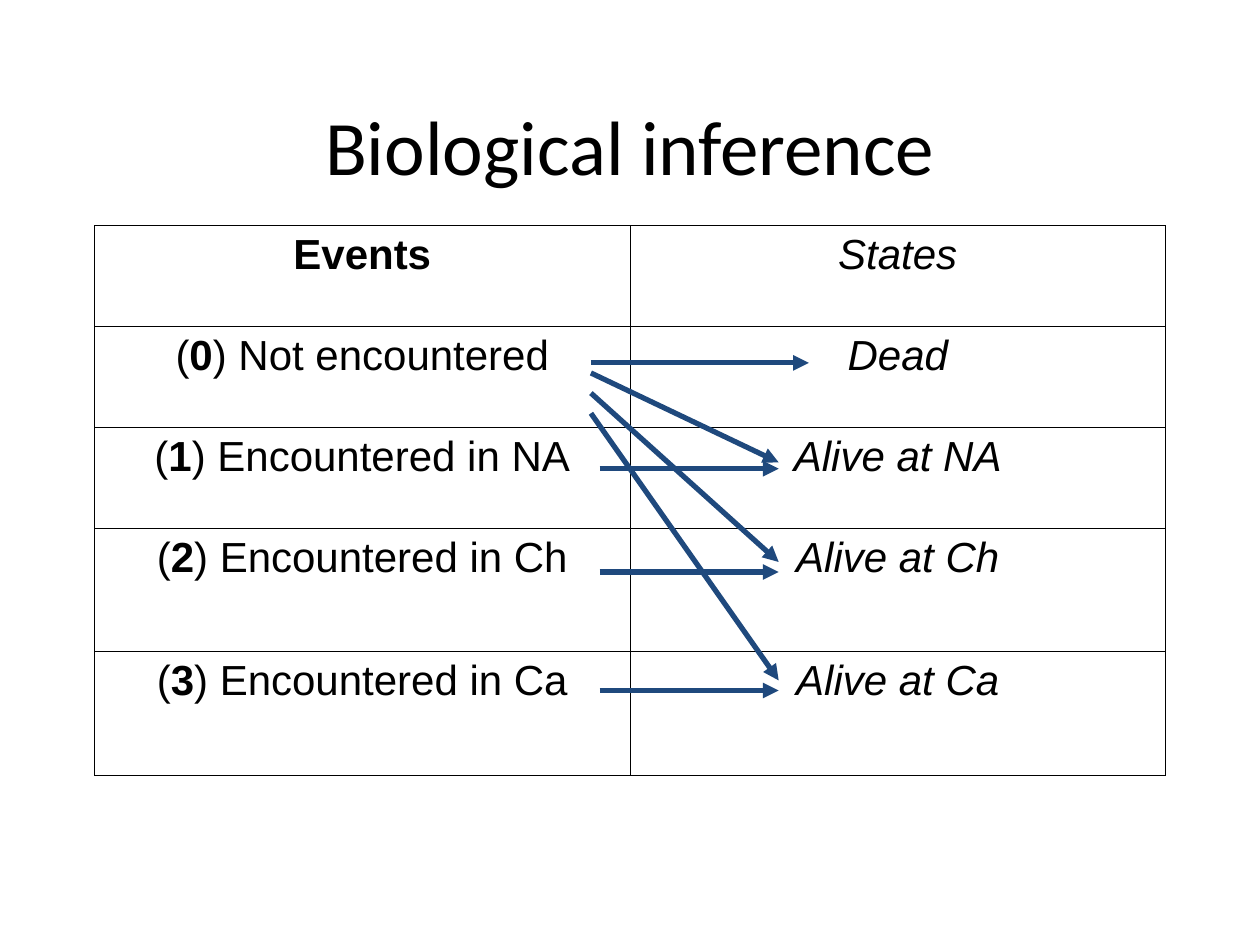
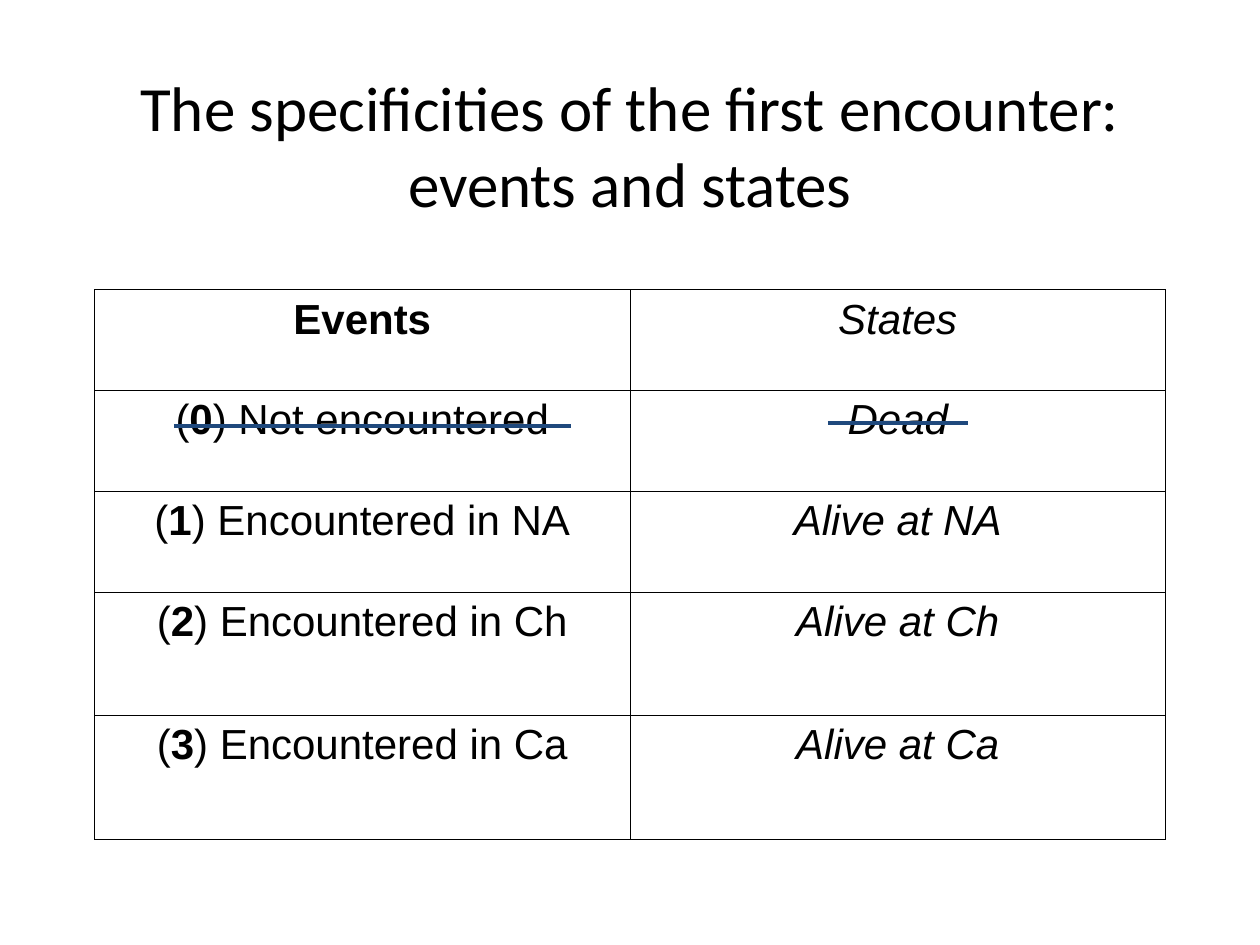
from lxml import etree
from pptx import Presentation
from pptx.dml.color import RGBColor
from pptx.enum import shapes, text
from pptx.oxml import ns
from pptx.util import Inches, Pt

BLACK = RGBColor(0x00, 0x00, 0x00)
NAVY = RGBColor(0x1F, 0x49, 0x7D)
LEFT, WIDTH = 0.75, 8.5
ROWS = (0.8, 0.8, 0.8, 0.98, 0.98)
EVENTS = ("Not encountered", "Encountered in NA", "Encountered in Ch", "Encountered in Ca")
STATES = ("Dead", "Alive at NA", "Alive at Ch", "Alive at Ca")


def child(node, tag, **attrs):
    return etree.SubElement(node, ns.qn(tag), **attrs)


class Deck:
    def __init__(self):
        self.prs = Presentation()
        self.prs.slide_width, self.prs.slide_height = Inches(10), Inches(7.5)

    def page(self, title, size):
        self.slide = self.prs.slides.add_slide(self.prs.slide_layouts[6])
        box = self.slide.shapes.add_textbox(
            Inches(LEFT), Inches(0.52), Inches(WIDTH), Inches(1.25))
        frame = box.text_frame
        frame.word_wrap = True
        frame.vertical_anchor = text.MSO_ANCHOR.MIDDLE
        para = frame.paragraphs[0]
        para.text = title
        self.style(para, "Calibri", size)

    def style(self, para, name, size):
        para.alignment = text.PP_ALIGN.CENTER
        para.font.name, para.font.size = name, Pt(size)
        para.font.color.rgb = BLACK

    def cell(self, cell, parts, bold=False, slant=False):
        para = cell.text_frame.paragraphs[0]
        self.style(para, "Arial", 24)
        para.space_before = Pt(6)
        para.font.italic = slant
        if len(parts) == 1:
            para.font.bold = bold
        for num, part in enumerate(parts):
            run = para.add_run()
            run.text = part
            if len(parts) > 1:
                run.font.bold = num == 1
        props = cell._tc.get_or_add_tcPr()
        for side in "LRTB":
            edge = child(props, f"a:ln{side}", w=str(Pt(0.45)))
            child(child(edge, "a:solidFill"), "a:srgbClr", val=str(BLACK))
        cell.fill.background()

    def table(self, top):
        grid = self.slide.shapes.add_table(
            len(ROWS), 2, Inches(LEFT), Inches(top), Inches(WIDTH), Inches(sum(ROWS))).table
        grid.first_row = grid.horz_banding = False
        for row, height in zip(grid.rows, ROWS):
            row.height = Inches(height)
        self.cell(grid.cell(0, 0), ["Events"], bold=True)
        self.cell(grid.cell(0, 1), ["States"], slant=True)
        for num, (event, state) in enumerate(zip(EVENTS, STATES)):
            self.cell(grid.cell(num + 1, 0), ["(", str(num), f") {event}"])
            self.cell(grid.cell(num + 1, 1), [state], slant=True)

    def line(self, x1, y1, x2, y2, width, arrow=False):
        link = self.slide.shapes.add_connector(
            shapes.MSO_CONNECTOR.STRAIGHT, Inches(x1), Inches(y1), Inches(x2), Inches(y2))
        link.line.color.rgb, link.line.width = NAVY, Pt(width)
        if arrow:
            child(link.line._get_or_add_ln(), "a:tailEnd", type="triangle")
        child(link._element.spPr, "a:effectLst")


def main():
    deck = Deck()
    deck.page("Biological inference", 44)
    deck.table(1.79)
    tip = 6.18
    deck.line(4.69, 2.88, 6.42, 2.88, 3, arrow=True)
    for start, end in ((2.96, 3.67), (3.12, 4.46), (3.28, 5.4)):
        deck.line(4.69, start, tip, end, 3, arrow=True)
    for y in (3.72, 4.54, 5.48):
        deck.line(4.76, y, tip, y, 3, arrow=True)

    deck.page("The specificities of the first encounter:\vevents and states", 36)
    deck.table(2.3)
    for x1, x2, y in ((1.38, 4.53, 3.38), (6.57, 7.68, 3.36)):
        deck.line(x1, y, x2, y, 2.25)
    deck.prs.save("out.pptx")


if __name__ == "__main__":
    main()
